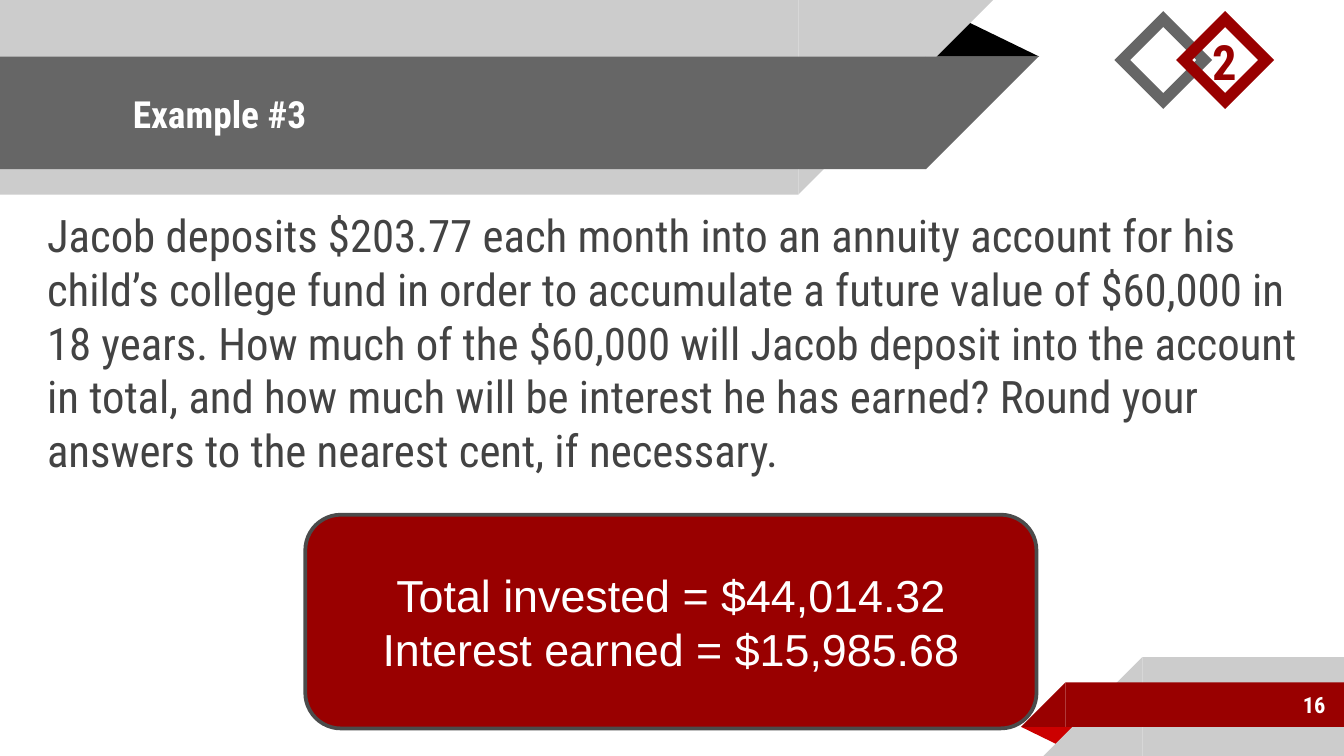
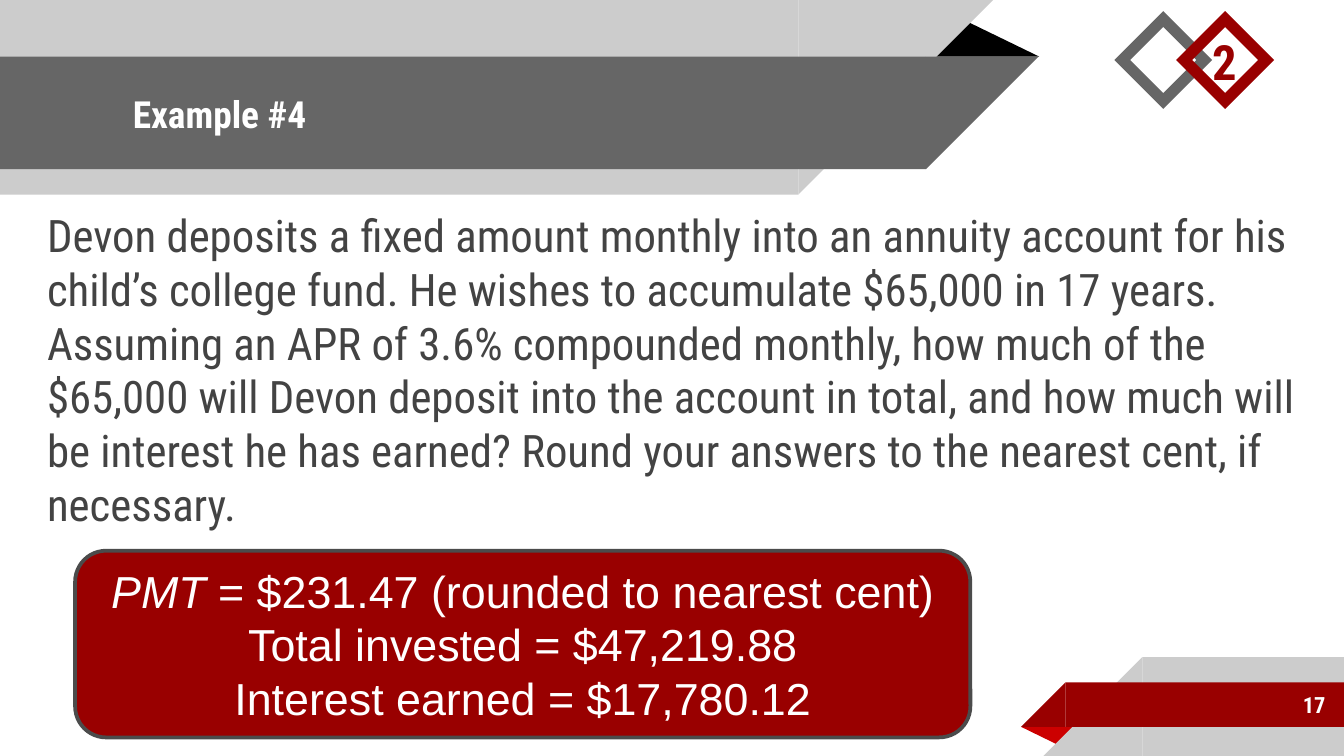
from lxml.etree import SubElement
from pptx import Presentation
from pptx.dml.color import RGBColor
from pptx.enum.shapes import MSO_SHAPE as Shape
from pptx.enum.text import MSO_ANCHOR as Anchor, PP_ALIGN as Align
from pptx.oxml.ns import qn
from pptx.util import Cm, Pt

WHITE = RGBColor(0xFF, 0xFF, 0xFF)
BLACK = RGBColor(0x00, 0x00, 0x00)
LIGHT = RGBColor(0xCC, 0xCC, 0xCC)
GREY = RGBColor(0x66, 0x66, 0x66)
INK = RGBColor(0x43, 0x43, 0x43)
OUTLINE = RGBColor(0x4B, 0x4B, 0x4B)
DARK_RED = RGBColor(0x99, 0x00, 0x00)
RED = RGBColor(0xCC, 0x00, 0x00)
HEADING_FONT, ANSWER_FONT = "Roboto Condensed", "Arial"
PAGE_WIDTH, PAGE_HEIGHT = 25.4, 14.29
SECTION = "2"

EXAMPLES = [
    {
        "title": "Example #3",
        "number": "16",
        "question": "Jacob deposits $203.77 each month into an annuity account for his "
                    "child’s college fund in order to accumulate a future value of $60,000 "
                    "in 18 years. How much of the $60,000 will Jacob deposit into the "
                    "account in total, and how much will be interest he has earned? Round "
                    "your answers to the nearest cent, if necessary.",
        "answer_place": (5.77, 9.73, 13.82, 4.04),
        "answer": [
            [("Total invested = $44,014.32", False)],
            [("Interest earned = $15,985.68", False)],
        ],
    },
    {
        "title": "Example #4",
        "number": "17",
        "question": "Devon deposits a fixed amount monthly into an annuity account for his "
                    "child’s college fund. He wishes to accumulate $65,000 in 17 years. "
                    "Assuming an APR of 3.6% compounded monthly, how much of the $65,000 "
                    "will Devon deposit into the account in total, and how much will be "
                    "interest he has earned? Round your answers to the nearest cent, if "
                    "necessary.",
        "answer_place": (1.42, 10.41, 16.92, 3.53),
        "answer": [
            [("PMT", True), (" = $231.47 (rounded to nearest cent)", False)],
            [("Total invested = $47,219.88", False)],
            [("Interest earned = $17,780.12", False)],
        ],
    },
]


def add_shape(page, kind, place, fill=None, line=None, width=0, flip=None):
    shape = page.shapes.add_shape(kind, *map(Cm, place))
    shape.shadow.inherit = False
    if fill is None:
        shape.fill.background()
    else:
        shape.fill.solid()
        shape.fill.fore_color.rgb = fill
    if line is None:
        shape.line.fill.background()
    else:
        shape.line.color.rgb = line
        shape.line.width = Pt(width)
    if flip:
        shape.element.spPr.xfrm.set(flip, "1")
    return shape


def style(para, font, size, color, bold=False, align=Align.LEFT):
    para.alignment = align
    para.font.name = font
    para.font.size = Pt(size)
    para.font.color.rgb = color
    para.font.bold = bold


def add_text(page, place, text, size, color, bold=True, anchor=Anchor.MIDDLE,
             align=Align.LEFT, left_inset=0.25):
    frame = page.shapes.add_textbox(*map(Cm, place)).text_frame
    frame.word_wrap = True
    frame.vertical_anchor = anchor
    frame.margin_left = Cm(left_inset)
    frame.margin_right = frame.margin_top = frame.margin_bottom = Cm(0.25)
    para = frame.paragraphs[0]
    para.text = text
    style(para, HEADING_FONT, size, color, bold, align)


def add_top_band(page, top, length, height, color):
    add_shape(page, Shape.RECTANGLE, (0, top, length, height), color)
    add_shape(page, Shape.RIGHT_TRIANGLE, (length, top, height, height), color, flip="flipV")


def add_bottom_band(page, top, start, height, color):
    add_shape(page, Shape.RECTANGLE, (start, top, PAGE_WIDTH - start, height), color)
    add_shape(page, Shape.RIGHT_TRIANGLE, (start - height, top, height, height), color,
              flip="flipH")


def add_fold(page, place, color, rotation=0):
    fold = add_shape(page, Shape.ISOSCELES_TRIANGLE, place, color)
    fold.adjustments[0] = 0.324
    fold.rotation = rotation


def add_frame(page):
    add_fold(page, (19.3, 13.74, 1.09, 0.36), RED, 180)
    add_bottom_band(page, 12.42, 21.59, 1.87, LIGHT)
    add_bottom_band(page, 12.9, 20.14, 0.84, DARK_RED)
    add_fold(page, (17.48, 0.36, 2.16, 0.71), BLACK)
    add_top_band(page, 0, 15.09, 3.68, LIGHT)
    add_top_band(page, 1.07, 17.5, 2.13, GREY)


def add_section_mark(page):
    for left, fill, line in ((21.21, WHITE, GREY), (22.38, None, DARK_RED)):
        diamond = add_shape(page, Shape.DIAMOND, (left, 0.36, 1.55, 1.55), fill, line, 6)
        SubElement(diamond.element.spPr.find(qn("a:ln")), qn("a:miter"), lim="800000")
    add_text(page, (22.66, 0.13, 1.09, 1.83), SECTION, 26, DARK_RED, anchor=Anchor.BOTTOM)


def add_answer(page, place, lines):
    box = add_shape(page, Shape.FLOWCHART_ALTERNATE_PROCESS, place, DARK_RED, OUTLINE, 2)
    frame = box.text_frame
    frame.word_wrap = True
    frame.vertical_anchor = Anchor.MIDDLE
    for index, line in enumerate(lines):
        para = frame.add_paragraph() if index else frame.paragraphs[0]
        style(para, ANSWER_FONT, 24, WHITE, align=Align.CENTER)
        for text, italic in line:
            span = para.add_run()
            span.text = text
            span.font.italic = italic


def main():
    deck = Presentation()
    deck.slide_width, deck.slide_height = Cm(PAGE_WIDTH), Cm(PAGE_HEIGHT)
    for example in EXAMPLES:
        page = deck.slides.add_slide(deck.slide_layouts[6])
        add_frame(page)
        add_text(page, (2.26, 1.09, 15.27, 2.13), example["title"], 20, WHITE)
        add_text(page, (0.43, 3.68, 24.51, 8.74), example["question"], 24, INK, bold=False,
                 anchor=Anchor.TOP, left_inset=0.46)
        add_text(page, (21.16, 12.88, 4.14, 0.89), example["number"], 12, WHITE,
                 align=Align.RIGHT)
        add_answer(page, example["answer_place"], example["answer"])
        add_section_mark(page)
    deck.save("out.pptx")


if __name__ == "__main__":
    main()
